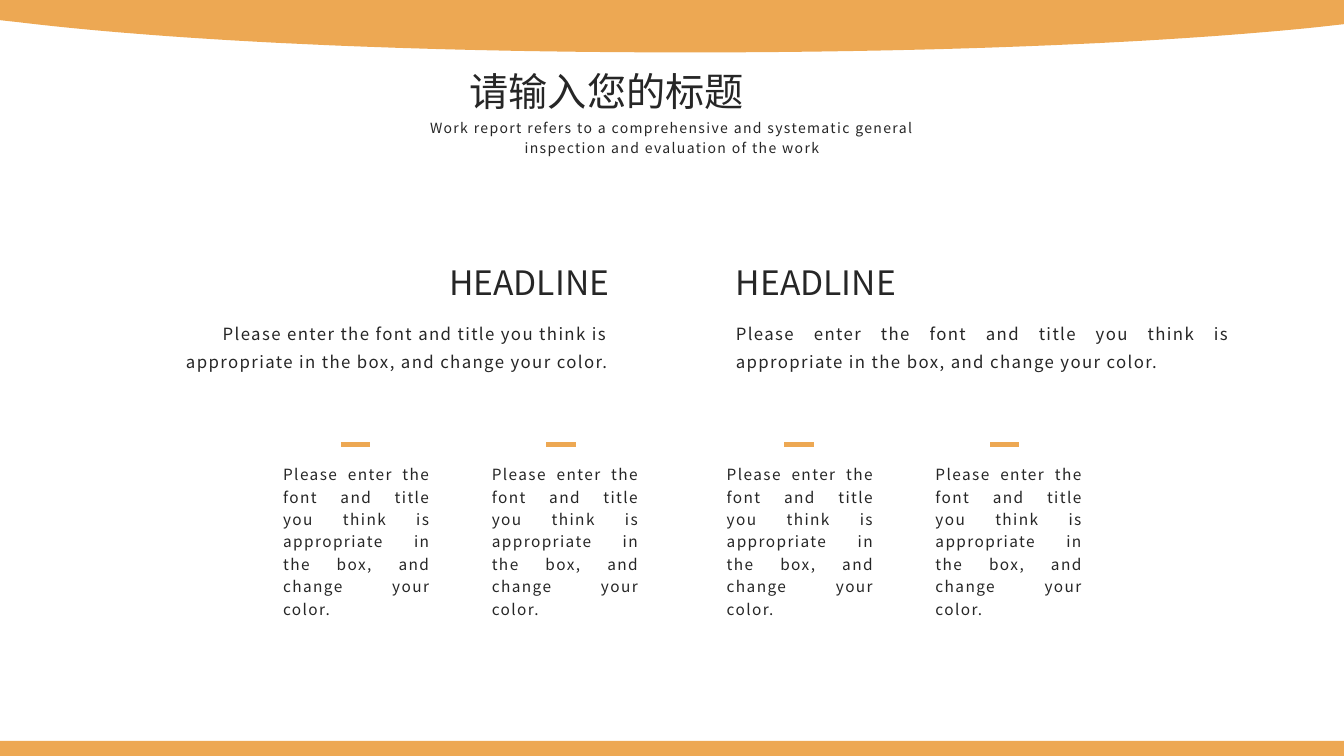
from lxml import etree
from pptx import Presentation
from pptx.dml.color import RGBColor
from pptx.enum.shapes import MSO_CONNECTOR, MSO_SHAPE
from pptx.enum.text import MSO_AUTO_SIZE, PP_ALIGN as AL
from pptx.oxml.ns import qn
from pptx.util import Inches, Pt

FONT = "Noto Sans CJK SC"
ORANGE = "EDA853"
DARK = "262626"
BODY = "Please enter the font and title you think is appropriate in the box, and change your color."
SUBTITLE = ("Work report refers to a comprehensive and systematic general "
            "inspection and evaluation of the work")


def rgb(value):
    """Turn a hex string into a colour."""
    return RGBColor.from_string(value)


def paint(shape, color):
    """Give a shape a flat fill with no line or shadow."""
    shape.shadow.inherit = False
    shape.fill.solid()
    shape.fill.fore_color.rgb = rgb(color)
    shape.line.fill.background()


def add_text(s, box, text, size, align, leading=None, spacing=None):
    """Add a wrapped one-paragraph text box."""
    tf = s.shapes.add_textbox(*map(Inches, box)).text_frame
    tf.word_wrap = True
    tf.auto_size = MSO_AUTO_SIZE.SHAPE_TO_FIT_TEXT
    tf.text = text
    p = tf.paragraphs[0]
    p.alignment = align
    if leading:
        p.line_spacing = Pt(leading)
    r = p.runs[0]
    r.font.name = FONT
    r.font.size = Pt(size)
    r.font.color.rgb = rgb(DARK)
    rpr = r.font._element
    etree.SubElement(rpr, qn("a:ea")).set("typeface", FONT)
    if spacing:
        rpr.set("spc", str(spacing * 100))


def add_dash(s, x, y, width):
    """Add a short horizontal accent line."""
    line = s.shapes.add_connector(MSO_CONNECTOR.STRAIGHT, Inches(x), Inches(y),
                                  Inches(x + width), Inches(y))
    line.line.color.rgb = rgb(ORANGE)
    line.line.width = Pt(3)
    etree.SubElement(line._element.spPr, qn("a:effectLst"))


def bezier(points, steps=40):
    """Return points along a cubic curve, without its start."""
    curve = []
    for i in range(1, steps + 1):
        t = i / steps
        weights = ((1 - t) ** 3, 3 * t * (1 - t) ** 2, 3 * t * t * (1 - t), t ** 3)
        curve.append(tuple(sum(w * p[axis] for w, p in zip(weights, points))
                           for axis in (0, 1)))
    return curve


def add_top_band(s):
    """Draw the band with a curved lower edge along the top."""
    low = (6.83, 0.52)
    outline = bezier([low, (9.28, 0.52), (11.5, 0.43), (13.06, 0.27)])
    outline += [(13.33, 0.24), (13.33, 0), (0, 0), (0, 0.2), (0.18, 0.22)]
    outline += bezier([(0.18, 0.22), (1.76, 0.41), (4.15, 0.52), low])
    builder = s.shapes.build_freeform(Inches(low[0]), Inches(low[1]))
    builder.add_line_segments([(Inches(x), Inches(y)) for x, y in outline])
    paint(builder.convert_to_shape(), ORANGE)


def add_bottom_band(s):
    """Draw the straight band along the bottom."""
    band = s.shapes.add_shape(MSO_SHAPE.RECTANGLE, 0, Inches(7.35), Inches(13.33), Inches(0.17))
    paint(band, ORANGE)


def add_half(s, head_x, body_x, align, column_x, dash_x):
    """Add a headline with its text and the two columns below."""
    add_text(s, (body_x, 3.08, 5.1, 0.63), BODY, 12, align, 20, 1)
    add_text(s, (head_x, 2.55, 2.21, 0.5), "HEADLINE", 24, align)
    for i in range(2):
        add_text(s, (column_x + i * 2.07, 4.53, 1.66, 1.2), BODY, 11, AL.JUSTIFY, 16, 1)
        add_dash(s, dash_x + i * 2.04, 4.41, 0.29)


def main():
    """Build the slide and save it."""
    prs = Presentation()
    prs.slide_width, prs.slide_height = Inches(13.33), Inches(7.5)
    s = prs.slides.add_slide(prs.slide_layouts[6])
    add_top_band(s)
    add_bottom_band(s)
    add_text(s, (4.56, 0.62, 4.21, 0.57), "请输入您的标题", 28, AL.JUSTIFY)
    add_text(s, (3.74, 1.11, 5.85, 0.47), SUBTITLE, 10, AL.CENTER, 14, 1)
    add_half(s, 7.2, 7.2, AL.JUSTIFY, 7.11, 7.78)
    add_half(s, 3.93, 1.03, AL.RIGHT, 2.71, 3.38)
    prs.save("out.pptx")


if __name__ == "__main__":
    main()
